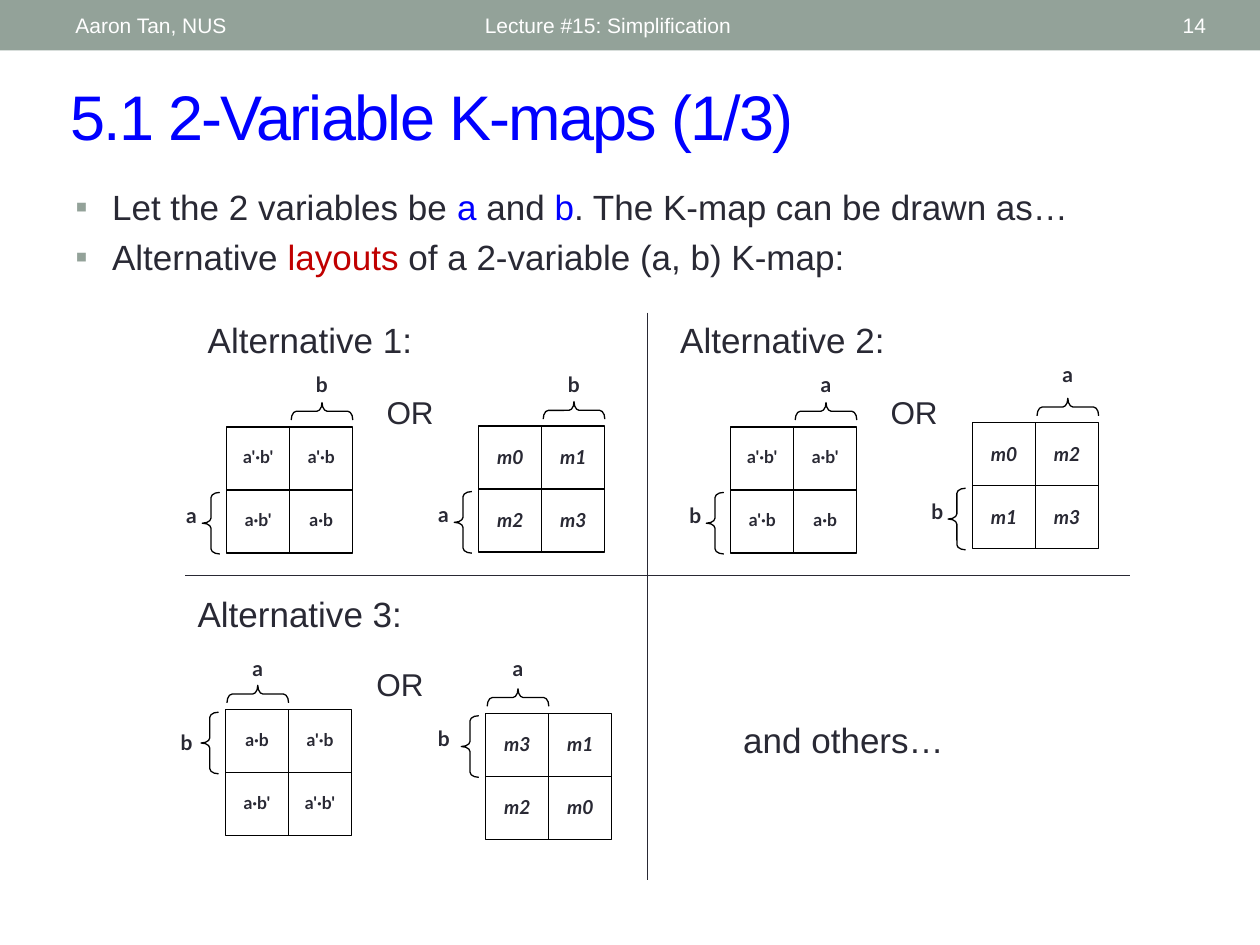
from dataclasses import dataclass

from lxml.etree import SubElement
from pptx import Presentation
from pptx.dml.color import RGBColor
from pptx.enum.shapes import MSO_CONNECTOR, MSO_SHAPE
from pptx.enum.text import MSO_ANCHOR, PP_ALIGN
from pptx.oxml.ns import qn
from pptx.util import Pt


@dataclass(frozen=True)
class Theme:
    """Colours, fonts and type sizes of the lecture."""
    band: str = "93A299"
    paper: str = "FFFFFF"
    ink: str = "292934"
    accent: str = "0000FF"
    emphasis: str = "C00000"
    grid: str = "000000"
    font: str = "Arial"
    map_font: str = "Lato"
    title: int = 36
    body: int = 20
    joiner: int = 18
    small: int = 12
    minterm: int = 11
    product: int = 10
    stroke: float = 0.75


class KmapPage:
    """Draws the elements of a Karnaugh map page."""

    def __init__(self, page, theme):
        """Keep the page and its style."""
        self.page = page
        self.theme = theme

    def span(self, span, size, color=None, font=None, bold=False, italic=False):
        """Format one run."""
        span.font.size = Pt(size)
        span.font.name = font or self.theme.font
        span.font.color.rgb = RGBColor.from_string(color or self.theme.ink)
        span.font.bold = bold
        span.font.italic = italic

    def frame(self, left, top, width, height, anchor=MSO_ANCHOR.TOP):
        """Add an empty wrapping text box and return its frame."""
        box = self.page.shapes.add_textbox(Pt(left), Pt(top), Pt(width), Pt(height))
        box.text_frame.word_wrap = True
        box.text_frame.vertical_anchor = anchor
        return box.text_frame

    def text(self, words, left, top, width, height, size, color=None,
             align=PP_ALIGN.LEFT, anchor=MSO_ANCHOR.TOP):
        """Add a line of text and return its run."""
        frame = self.frame(left, top, width, height, anchor)
        frame.text = words
        paragraph = frame.paragraphs[0]
        paragraph.alignment = align
        self.span(paragraph.runs[0], size, color)
        return paragraph.runs[0]

    def map_text(self, words, center, top, size, italic=False):
        """Add bold text centred on a horizontal position."""
        frame = self.frame(center - 18, top, 36, 28.8)
        frame.margin_left = frame.margin_right = 0
        frame.text = words
        paragraph = frame.paragraphs[0]
        paragraph.alignment = PP_ALIGN.CENTER
        self.span(paragraph.runs[0], size, font=self.theme.map_font, bold=True, italic=italic)

    def bullets(self, items, left, top, width, height):
        """Add bulleted paragraphs made of (words, color) parts."""
        frame = self.frame(left, top, width, height)
        for index, parts in enumerate(items):
            paragraph = frame.add_paragraph() if index else frame.paragraphs[0]
            paragraph.space_before = Pt(4.6)
            for words, color in parts:
                span = paragraph.add_run()
                span.text = words
                self.span(span, self.theme.body, color)
            properties = paragraph._p.get_or_add_pPr()
            properties.set("marL", str(Pt(21)))
            properties.set("indent", str(Pt(-21)))
            color = SubElement(properties, qn("a:buClr"))
            SubElement(color, qn("a:srgbClr"), val=self.theme.band)
            SubElement(properties, qn("a:buFont"), typeface=self.theme.font)
            SubElement(properties, qn("a:buChar"), char="▪")

    def shape(self, kind, left, top, width, height, fill=None):
        """Add a filled shape, or an outlined one when no fill is given."""
        shape = self.page.shapes.add_shape(kind, Pt(left), Pt(top), Pt(width), Pt(height))
        shape.shadow.inherit = False
        if fill:
            shape.fill.solid()
            shape.fill.fore_color.rgb = RGBColor.from_string(fill)
            shape.line.fill.background()
        else:
            shape.fill.background()
            shape.line.color.rgb = RGBColor.from_string(self.theme.grid)
            shape.line.width = Pt(self.theme.stroke)
        return shape

    def line(self, left, top, right, bottom, color):
        """Add a straight line."""
        line = self.page.shapes.add_connector(
            MSO_CONNECTOR.STRAIGHT, Pt(left), Pt(top), Pt(right), Pt(bottom))
        line.line.color.rgb = RGBColor.from_string(color)
        line.line.width = Pt(self.theme.stroke)
        SubElement(line._element.spPr, qn("a:effectLst"))
        return line

    def brace(self, center, middle, rotation=0):
        """Add a brace around a centre point."""
        brace = self.shape(MSO_SHAPE.LEFT_BRACE, center - 5, middle - 17.6, 10, 35.2)
        brace.adjustments[0] = 0.29
        brace.rotation = rotation

    def kmap(self, left, top, cells, row_name, column_name, marked,
             row_label, column_lift, minterms=False):
        """Add a 2 by 2 map whose marked row and column carry braces."""
        cell, theme = 36, self.theme
        outline = self.shape(MSO_SHAPE.RECTANGLE, left, top, 2 * cell, 2 * cell)
        for start, end in ((1, 3), (0, 2)):
            divider = self.line(left, top, left, top, theme.grid)
            divider.begin_connect(outline, start)
            divider.end_connect(outline, end)
        size = theme.minterm if minterms else theme.product
        for index, words in enumerate(cells):
            row, column = divmod(index, 2)
            self.map_text(words, left + (column + 0.5) * cell,
                          top + 7.4 + row * cell, size, minterms)
        offset = marked * cell
        center = left + offset + 18.4
        self.brace(left - 9, top + offset + 19)
        self.brace(center, top - 9, 90)
        label_shift, label_drop = row_label
        self.map_text(row_name, left - label_shift, top + offset + label_drop, theme.small)
        self.map_text(column_name, center, top - column_lift, theme.small)


def main():
    """Build the 2-variable K-map slide."""
    theme = Theme()
    deck = Presentation()
    deck.slide_width, deck.slide_height = Pt(720), Pt(540)
    page = KmapPage(deck.slides.add_slide(deck.slide_layouts[6]), theme)

    page.shape(MSO_SHAPE.RECTANGLE, 0, 0, 720, 28.8, theme.band)
    for words, left, width, align in (
            ("Aaron Tan, NUS", 36, 228, PP_ALIGN.LEFT),
            ("Lecture #15: Simplification", 270, 324, PP_ALIGN.LEFT),
            ("14", 627.8, 68.4, PP_ALIGN.RIGHT)):
        page.text(words, left, 1.5, width, 26, theme.small, theme.paper,
                  align, MSO_ANCHOR.MIDDLE)
    title = page.text("5.1 2-Variable K-maps (1/3)", 33.1, 41, 653, 50.4, theme.title,
                      theme.accent, anchor=MSO_ANCHOR.MIDDLE)
    title._r.get_or_add_rPr().set("spc", "-100")
    page.bullets((
        (("Let the 2 variables be ", theme.ink), ("a", theme.accent), (" and ", theme.ink),
         ("b", theme.accent), (". The K-map can be drawn as…", theme.ink)),
        (("Alternative ", theme.ink), ("layouts", theme.emphasis),
         (" of a 2-variable (a, b) K-map:", theme.ink)),
    ), 36, 102.2, 648, 108)

    for words, left, top in (
            ("Alternative 1:", 111.6, 178.6), ("Alternative 2:", 381.6, 178.6),
            ("Alternative 3:", 105.8, 334.8), ("and others…", 417.6, 406.8)):
        page.text(words, left, top, 140, 28.8, theme.body)
    for left, top in ((213.8, 221), (501.8, 221), (208, 376.6)):
        page.text("OR", left, top, 48, 31, theme.joiner)

    beside = (20.2, 3.6)
    for left, top, cells, row_name, column_name, marked, row_label, lift, minterms in (
            (129.6, 244, ("a'∙b'", "a'∙b", "a∙b'", "a∙b"), "a", "b", 1, beside, 35.3, False),
            (273.6, 243.5, ("m0", "m1", "m2", "m3"), "a", "b", 1, beside, 34.8, True),
            (417.6, 244, ("a'∙b'", "a∙b'", "a'∙b", "a∙b"), "b", "a", 1, beside, 35.3, False),
            (555.8, 241.6, ("m0", "m2", "m1", "m3"), "b", "a", 1, beside, 38.6, True),
            (128.9, 405.6, ("a∙b", "a'∙b", "a∙b'", "a'∙b'"), "b", "a", 0, (22.3, 7.7), 34.8, False),
            (277.6, 407.6, ("m3", "m1", "m2", "m0"), "b", "a", 0, (24, 3.6), 36.8, True)):
        page.kmap(left, top, cells, row_name, column_name, marked, row_label, lift, minterms)

    page.line(105.8, 329, 645.8, 329, theme.ink)
    page.line(370, 178.6, 370, 502.6, theme.ink)
    deck.save("out.pptx")


if __name__ == "__main__":
    main()
